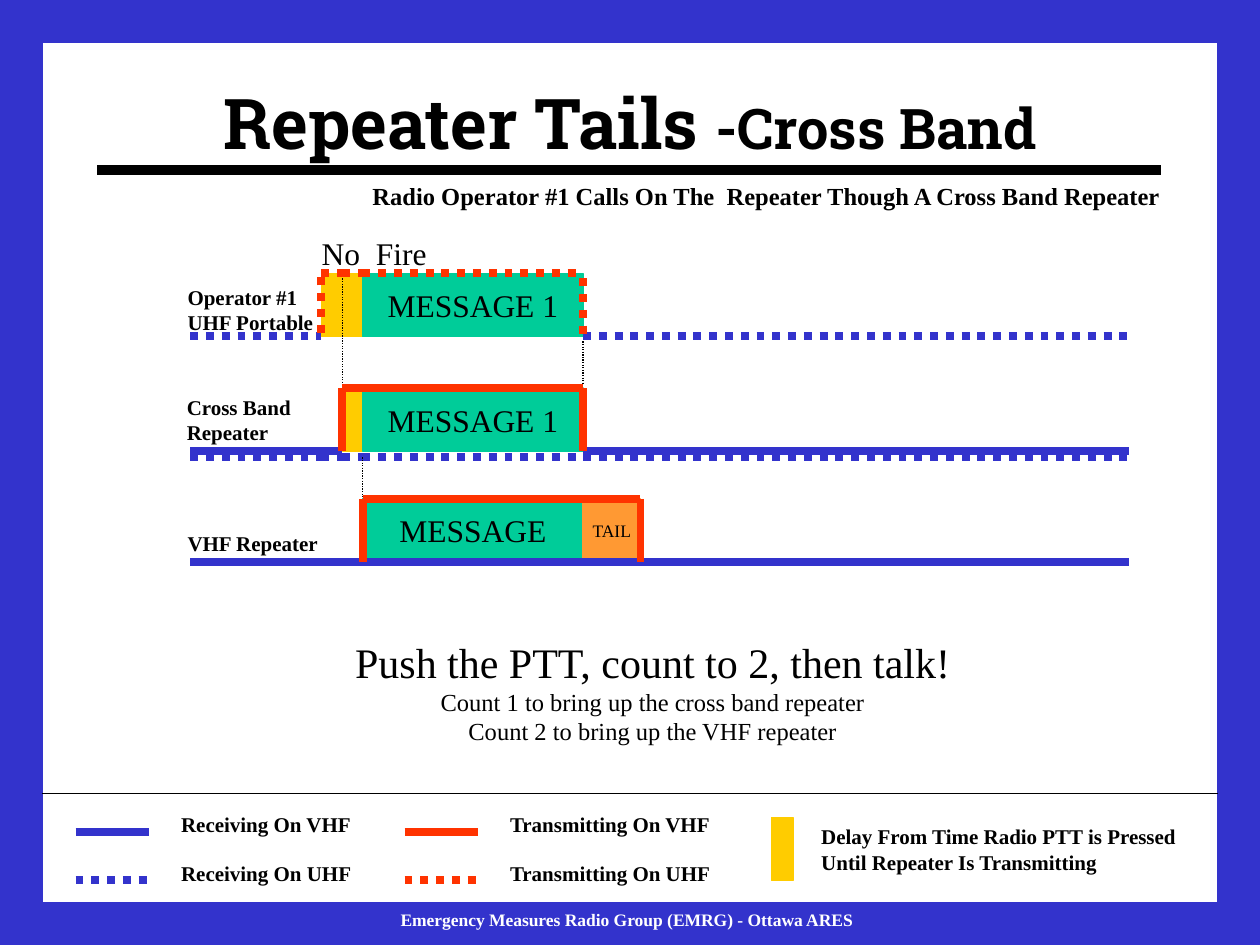
import pptx
import pptx.dml.color
import pptx.enum.dml
import pptx.enum.shapes
import pptx.enum.text
import pptx.oxml.ns
import pptx.util
from itertools import pairwise
from lxml import etree

Pt = pptx.util.Pt
COLOURS = {"blue": "3333CC", "red": "FF3300", "yellow": "FFCC00", "green": "00CC99",
           "orange": "FF9933", "black": "000000", "white": "FFFFFF"}
ALIGN = pptx.enum.text.PP_ALIGN
MIDDLE = pptx.enum.text.MSO_ANCHOR.MIDDLE


class Painter:
    """Holds the text style and the current page, and draws each kind of element."""

    def __init__(self, page, font="Times New Roman", size=12):
        self.page = page
        self.font = font
        self.size = size

    def colour(self, name):
        return pptx.dml.color.RGBColor.from_string(COLOURS[name])

    def fill_text(self, box, paras, align=ALIGN.LEFT, bold=False, colour="black", font=None,
                  anchor=pptx.enum.text.MSO_ANCHOR.TOP, wrap=False):
        frame = box.text_frame
        frame.word_wrap = wrap
        frame.vertical_anchor = anchor
        for index, spans in enumerate(paras):
            para = frame.paragraphs[0] if index == 0 else frame.add_paragraph()
            para.alignment = align
            for text, size in spans:
                span = para.add_run()
                span.text = text
                span.font.name = font or self.font
                span.font.size = Pt(size)
                span.font.bold = bold
                span.font.color.rgb = self.colour(colour)

    def text(self, left, top, width, height, paras, **style):
        box = self.page.shapes.add_textbox(Pt(left), Pt(top), Pt(width), Pt(height))
        self.fill_text(box, paras, **style)

    def label(self, left, top, width, *lines, wrap=False):
        height = 21.6 if len(lines) == 1 else 36
        paras = [[(line, self.size)] for line in lines]
        self.text(left, top, width, height, paras, bold=True, wrap=wrap)

    def block(self, left, top, width, height, colour, text=None, size=18):
        box = self.page.shapes.add_shape(pptx.enum.shapes.MSO_SHAPE.RECTANGLE,
                                         Pt(left), Pt(top), Pt(width), Pt(height))
        box.shadow.inherit = False
        box.fill.solid()
        box.fill.fore_color.rgb = self.colour(colour)
        box.line.color.rgb = self.colour(colour)
        box.line.width = Pt(0.75)
        if text:
            self.fill_text(box, [[(text, size)]], align=ALIGN.CENTER, anchor=MIDDLE)

    def line(self, x1, y1, x2, y2, colour="black", width=4.5, dotted=False):
        line = self.page.shapes.add_connector(pptx.enum.shapes.MSO_CONNECTOR.STRAIGHT,
                                              Pt(x1), Pt(y1), Pt(x2), Pt(y2))
        line.line.color.rgb = self.colour(colour)
        line.line.width = Pt(width)
        if dotted:
            line.line.dash_style = pptx.enum.dml.MSO_LINE.ROUND_DOT
        etree.SubElement(line._element.spPr, pptx.oxml.ns.qn("a:effectLst"))

    def track(self, y, stops, colour, dotted=False):
        for x1, x2 in pairwise(stops):
            self.line(x1, y, x2, y, colour, dotted=dotted)


def draw_frame(painter):
    for top in (0, 516):
        painter.block(0, top, 720, 24, "blue")
    for left in (0, 696):
        painter.block(left, 24, 24, 492, "blue")
    painter.line(55.5, 97.2, 663.5, 97.2, width=6)
    painter.text(221.8, 516.2, 273.6, 19.4,
                 [[("Emergency Measures Radio Group (EMRG) - Ottawa ARES", 10)]],
                 bold=True, colour="white")
    painter.text(54, 24.5, 612, 90, [[("Repeater Tails ", 40), ("-Cross Band", 32)]],
                 align=ALIGN.CENTER, bold=True, font="Roboto Slab", anchor=MIDDLE, wrap=True)
    painter.text(203, 100, 467.3, 24.5,
                 [[("Radio Operator #1 Calls On The  Repeater Though A Cross Band Repeater", 14)]],
                 align=ALIGN.RIGHT, bold=True)


def draw_legend(painter):
    painter.line(24, 453.6, 696, 453.6, width=0.75)
    for left, action, colour, width in ((43.2, "Receiving", "blue", 111.6),
                                        (231.2, "Transmitting", "red", 129.6)):
        for y, band in ((475.2, "VHF"), (503, "UHF")):
            painter.line(left, y, left + 42, y, colour, dotted=band == "UHF")
            painter.label(left + 53.2, y - 15, width, f"{action} On {band}")
    painter.block(441, 467.3, 12.2, 36, "yellow")
    painter.label(462.2, 467.3, 221.8, "Delay From Time Radio PTT is Pressed",
                  "Until Repeater Is Transmitting", wrap=True)


def draw_timeline(painter):
    start, press, relay, talk, end, tail, finish = 108.7, 183.6, 195.6, 207.2, 333.2, 366, 645.1
    portable, cross, repeater = 156.2, 221.8, 285.1
    height = 36
    stops = (start, press, relay, talk, end, finish)

    painter.label(100.1, 159.1, 86.4, "Operator #1", "UHF Portable")
    painter.label(99.7, 221.8, 74.2, "Cross Band", "Repeater")
    painter.label(100.1, 299.5, 89.3, "VHF Repeater")

    for left, top in ((press, portable), (relay, portable), (relay, cross)):
        painter.block(left, top, talk - relay, height, "yellow")
    for top, text in ((portable, "MESSAGE 1"), (cross, "MESSAGE 1"), (repeater, "MESSAGE")):
        painter.block(talk, top, end - talk, height, "green", text)
    painter.block(end, repeater, tail - end, height, "orange", "TAIL", 10)

    for ends in ((start, press), (end, finish)):
        painter.track(portable + height, ends, "blue", dotted=True)
    for ends in ((start, press, relay), (end, finish)):
        painter.track(cross + height, ends, "blue")
    painter.track(cross + height + 3.6, stops, "blue", dotted=True)
    painter.track(repeater + height, stops, "blue")

    for x, top, bottom in ((relay, portable, 218.9), (end, 195.1, 218.9),
                           (talk, cross + height + 3.6, repeater)):
        painter.line(x, top, x, bottom, width=0.75, dotted=True)

    painter.track(portable, (press, relay, talk, end), "red", dotted=True)
    painter.track(cross, (relay, talk, end), "red")
    painter.track(repeater, (talk, end, tail), "red")
    painter.line(press, 190.1, press, 154.1, "red", dotted=True)
    painter.line(end, 159.1, end, 195.1, "red", dotted=True)
    for x, top in ((relay, cross), (end, cross), (talk, repeater), (tail, repeater)):
        painter.line(x, top, x, top + height, "red")
    painter.text(176.8, 130.3, 74.2, 28.8, [[("No  Fire", 18)]])


def main():
    deck = pptx.Presentation()
    deck.slide_width, deck.slide_height = Pt(720), Pt(540)
    painter = Painter(deck.slides.add_slide(deck.slide_layouts[6]))
    draw_frame(painter)
    draw_legend(painter)
    painter.text(194.8, 360, 356.4, 69.8,
                 [[("Push the PTT, count to 2, then talk!", 24)],
                  [("Count 1 to bring up the cross band repeater", 14)],
                  [("Count 2 to bring up the VHF repeater", 14)]], align=ALIGN.CENTER)
    draw_timeline(painter)
    deck.save("out.pptx")


if __name__ == "__main__":
    main()
